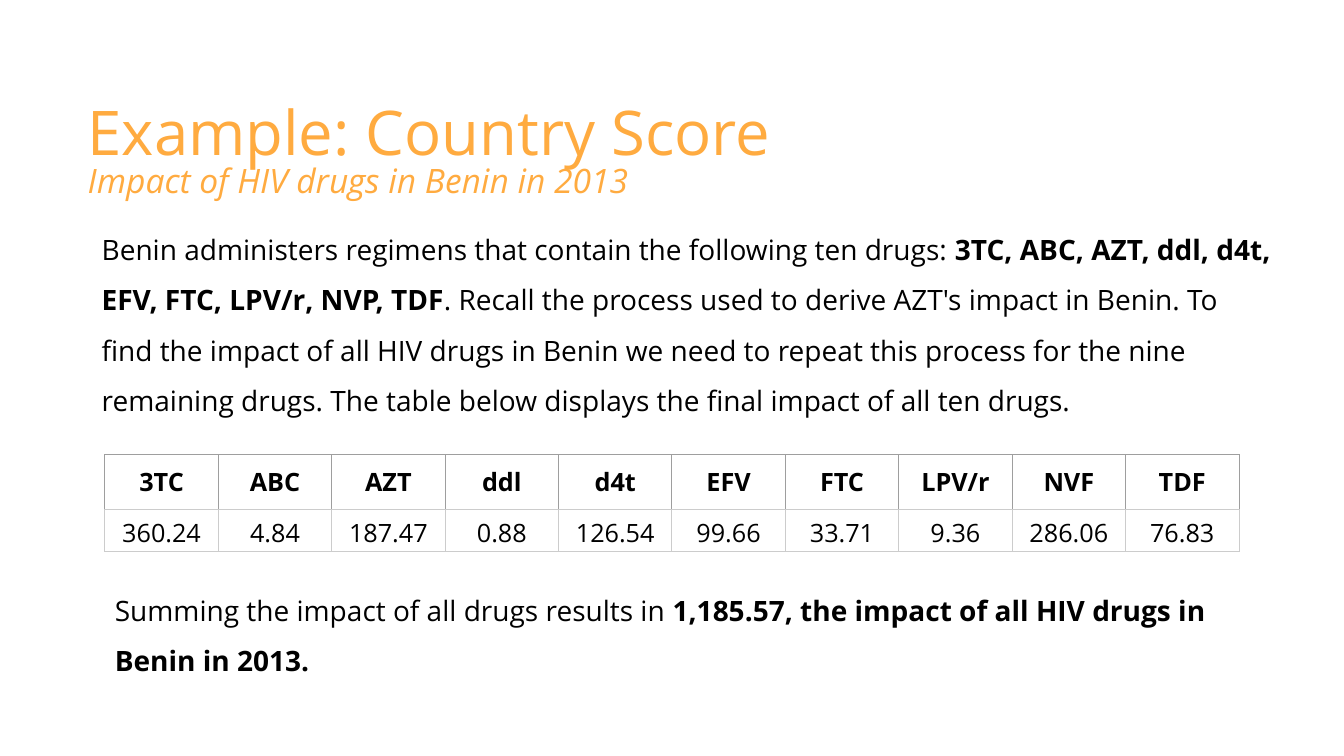
from lxml.etree import SubElement
from pptx import Presentation
from pptx.dml.color import RGBColor
from pptx.enum.text import MSO_ANCHOR as Anchor, MSO_AUTO_SIZE as AutoSize, PP_ALIGN as Align
from pptx.oxml.ns import qn
from pptx.util import Inches, Pt

ORANGE = RGBColor(0xFF, 0xAB, 0x40)
BLACK = RGBColor(0, 0, 0)
WHITE = RGBColor(0xFF, 0xFF, 0xFF)
GRAY = RGBColor(0x9E, 0x9E, 0x9E)
LIGHT_GRAY = RGBColor(0xCC, 0xCC, 0xCC)

IMPACTS = {
    "3TC": "360.24", "ABC": "4.84", "AZT": "187.47", "ddl": "0.88", "d4t": "126.54",
    "EFV": "99.66", "FTC": "33.71", "LPV/r": "9.36", "NVF": "286.06", "TDF": "76.83",
}


class SlideBuilder:
    """Draws titles, paragraphs and tables on one slide in a shared style."""

    font_name = "Open Sans"

    def __init__(self, presentation):
        self.slide = presentation.slides.add_slide(presentation.slide_layouts[5])

    def add_run(self, paragraph, text, size, color=BLACK, bold=False, italic=False):
        run = paragraph.add_run()
        run.text = text
        font = run.font
        font.name, font.size, font.bold, font.italic = self.font_name, Pt(size), bold, italic
        font.color.rgb = color

    def place(self, shape, left, top, width, height):
        shape.left, shape.top = Inches(left), Inches(top)
        shape.width, shape.height = Inches(width), Inches(height)

    def set_margins(self, target, horizontal, vertical):
        target.margin_left = target.margin_right = Inches(horizontal)
        target.margin_top = target.margin_bottom = Inches(vertical)

    def add_title(self, title, subtitle):
        shape = self.slide.shapes.title
        self.place(shape, 0.74, 0.67, 9.4, 1.44)
        frame = shape.text_frame
        frame.auto_size = AutoSize.NONE
        frame.word_wrap = True
        frame.vertical_anchor = Anchor.BOTTOM
        self.set_margins(frame, 0.13, 0.13)
        lines = [(frame.paragraphs[0], title, 44, False),
                 (frame.add_paragraph(), subtitle, 24, True)]
        for paragraph, text, size, italic in lines:
            paragraph.alignment = Align.LEFT
            paragraph.line_spacing = 0.8
            self.add_run(paragraph, text, size, ORANGE, italic=italic)

    def add_body(self, left, top, width, height, runs):
        shape = self.slide.shapes.add_textbox(0, 0, 0, 0)
        self.place(shape, left, top, width, height)
        frame = shape.text_frame
        frame.word_wrap = True
        self.set_margins(frame, 0.1, 0.05)
        paragraph = frame.paragraphs[0]
        paragraph.line_spacing = 1.5
        paragraph.space_before = Pt(11)
        for text, bold in runs:
            self.add_run(paragraph, text, 20, bold=bold)

    def set_borders(self, cell, side_color, bottom_color):
        properties = cell._tc.get_or_add_tcPr()
        colors = [side_color, side_color, side_color, bottom_color]
        for index, (side, color) in enumerate(zip("LRTB", colors)):
            line = SubElement(properties, qn(f"a:ln{side}"), w=str(Pt(0.75)))
            fill = SubElement(line, qn("a:solidFill"))
            SubElement(fill, qn("a:srgbClr"), val=str(color))
            properties.insert(index, line)

    def add_table(self, left, top, column_width, row_heights, rows):
        columns = len(rows[0])
        table = self.slide.shapes.add_table(
            len(rows), columns, Inches(left), Inches(top),
            Inches(column_width * columns), Inches(sum(row_heights))).table
        table.first_row = table.horz_banding = False
        for column in table.columns:
            column.width = Inches(column_width)
        for row_index, (height, values) in enumerate(zip(row_heights, rows)):
            table.rows[row_index].height = Inches(height)
            for column_index, value in enumerate(values):
                self.fill_cell(table.cell(row_index, column_index), value, row_index == 0)

    def fill_cell(self, cell, text, header):
        cell.fill.solid()
        cell.fill.fore_color.rgb = WHITE
        paragraph = cell.text_frame.paragraphs[0]
        paragraph.alignment = Align.CENTER
        if header:
            self.set_margins(cell, 0.1, 0.1)
        else:
            self.set_margins(cell, 0.03, 0.02)
            cell.vertical_anchor = Anchor.BOTTOM
            paragraph.line_spacing = 1.15
        self.add_run(paragraph, text, 18, bold=header)
        self.set_borders(cell, GRAY if header else LIGHT_GRAY, LIGHT_GRAY)


def main():
    presentation = Presentation()
    presentation.slide_width, presentation.slide_height = Inches(13.33), Inches(7.5)
    builder = SlideBuilder(presentation)
    builder.add_title("Example: Country Score", "Impact of HIV drugs in Benin in 2013")
    builder.add_body(0.91, 2.09, 11.84, 2.26, [
        ("Benin administers regimens that contain the following ten drugs: ", False),
        ("3TC, ABC, AZT, ddl, d4t, EFV, FTC, LPV/r, NVP, TDF", True),
        (". Recall the process used to derive AZT's impact in Benin. To find the impact of all "
         "HIV drugs in Benin we need to repeat this process for the nine remaining drugs. "
         "The table below displays the final impact of all ten drugs.", False),
    ])
    builder.add_table(1.04, 4.51, 1.125, [0.54, 0.42], [list(IMPACTS), list(IMPACTS.values())])
    builder.add_body(1.04, 5.67, 11.84, 1.56, [
        ("Summing the impact of all drugs results in ", False),
        ("1,185.57, the impact of all HIV drugs in Benin in 2013.", True),
    ])
    presentation.save("out.pptx")


if __name__ == "__main__":
    main()
